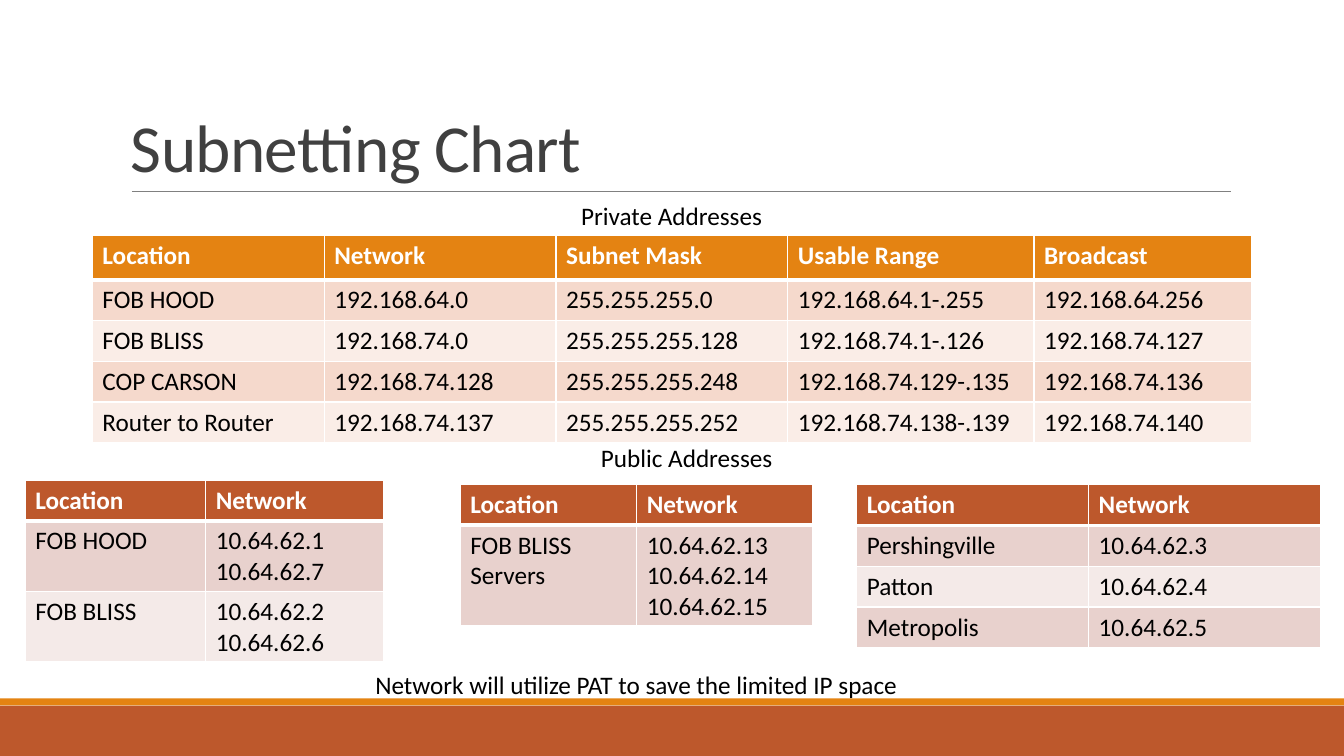
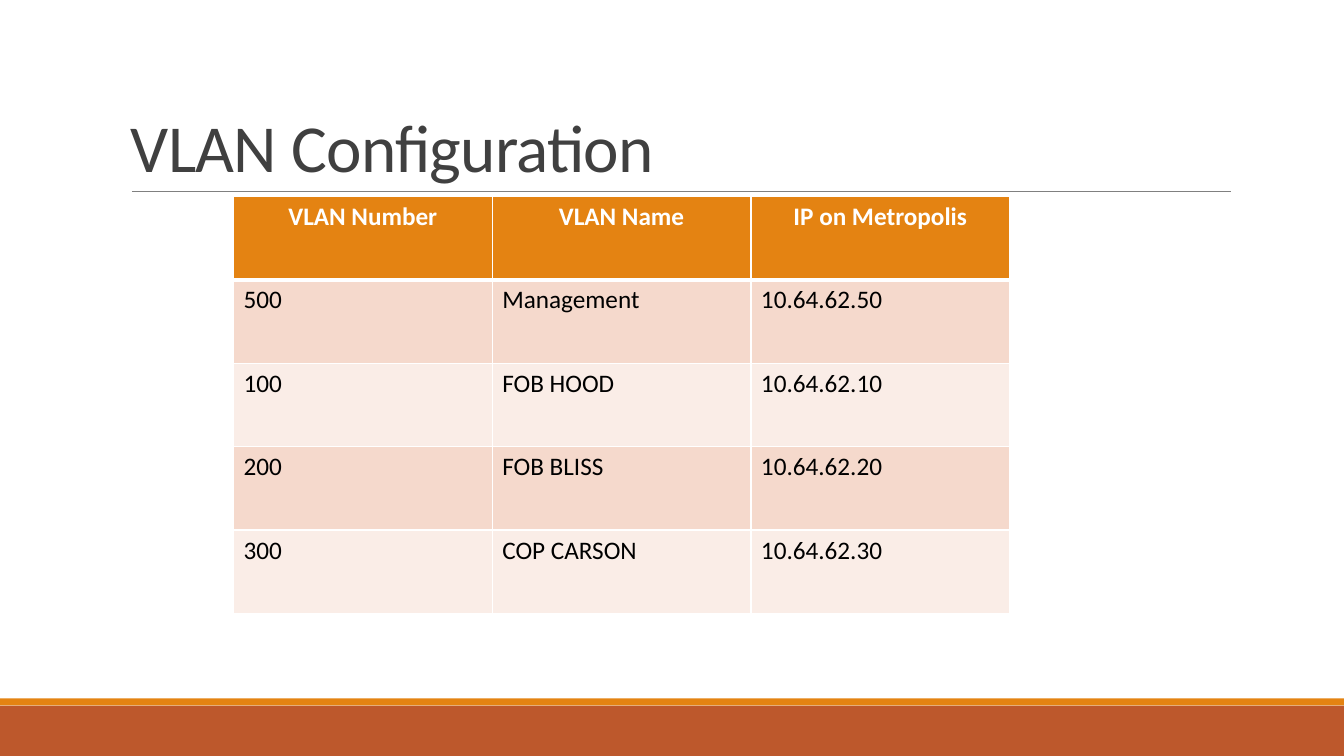
import lxml.etree
import pptx
import pptx.dml.color
import pptx.enum.shapes
import pptx.enum.text
import pptx.oxml.ns
import pptx.util

ORANGE = pptx.dml.color.RGBColor(0xE4, 0x83, 0x12)
RUST = pptx.dml.color.RGBColor(0xBD, 0x58, 0x2C)
PEACH = pptx.dml.color.RGBColor(0xF5, 0xD9, 0xCC)
PALE_PEACH = pptx.dml.color.RGBColor(0xFA, 0xED, 0xE7)
ROSE = pptx.dml.color.RGBColor(0xE8, 0xD1, 0xCD)
PALE_ROSE = pptx.dml.color.RGBColor(0xF4, 0xEA, 0xE8)
GRAY = pptx.dml.color.RGBColor(0x80, 0x80, 0x80)
CHARCOAL = pptx.dml.color.RGBColor(0x40, 0x40, 0x40)
BLACK = pptx.dml.color.RGBColor(0, 0, 0)
WHITE = pptx.dml.color.RGBColor(255, 255, 255)

ORANGE_TABLE = (ORANGE, PEACH, PALE_PEACH)
RUST_TABLE = (RUST, ROSE, PALE_ROSE)

FONT = "Calibri"
COLUMNS, ROWS = 160, 90
LINE_ROWS = 4.86
LEFT = pptx.enum.text.PP_ALIGN.LEFT
CENTER = pptx.enum.text.PP_ALIGN.CENTER


def add_xml(parent, tag, **attributes):
    return lxml.etree.SubElement(parent, pptx.oxml.ns.qn(tag), **attributes)


class SlideBuilder:
    def __init__(self):
        self.deck = pptx.Presentation()
        self.deck.slide_width = pptx.util.Inches(13.33)
        self.deck.slide_height = pptx.util.Inches(7.5)
        self.page = None

    def across(self, columns):
        return round(self.deck.slide_width * columns / COLUMNS)

    def down(self, rows):
        return round(self.deck.slide_height * rows / ROWS)

    def frame(self, left, top, width, height):
        return self.across(left), self.down(top), self.across(width), self.down(height)

    def start_page(self, title):
        self.page = self.deck.slides.add_slide(self.deck.slide_layouts[6])
        self.band(84, 6, RUST)
        self.band(83.13, 0.84, ORANGE)
        self.rule(15.7, 146.5, 22.8)
        self.title(title)

    def band(self, top, height, color):
        band = self.page.shapes.add_shape(
            pptx.enum.shapes.MSO_SHAPE.RECTANGLE, *self.frame(0, top, COLUMNS, height))
        band.shadow.inherit = False
        band.fill.solid()
        band.fill.fore_color.rgb = color
        band.line.fill.background()

    def rule(self, left, right, row):
        line = self.page.shapes.add_connector(
            pptx.enum.shapes.MSO_CONNECTOR.STRAIGHT,
            self.across(left), self.down(row), self.across(right), self.down(row))
        line.line.color.rgb = GRAY
        line.line.width = pptx.util.Pt(0.5)
        add_xml(line.element.spPr, "a:effectLst")

    def style(self, para, size, color, align, bold=False):
        para.alignment = align
        para.font.name = FONT
        para.font.size = pptx.util.Pt(size)
        para.font.color.rgb = color
        para.font.bold = bold

    def text(self, text, left, top, width, height, size=18, color=BLACK, align=CENTER):
        box = self.page.shapes.add_textbox(*self.frame(left, top, width, height))
        box.text_frame.word_wrap = True
        para = box.text_frame.paragraphs[0]
        para.text = text
        self.style(para, size, color, align)
        return box

    def title(self, text):
        box = self.text(text, 14.4, 3.7, 132, 19.1, 48, CHARCOAL, LEFT)
        box.text_frame.vertical_anchor = pptx.enum.text.MSO_ANCHOR.BOTTOM
        para = box.text_frame.paragraphs[0]
        para.line_spacing = 0.85
        para.runs[0].font._element.set("spc", "-50")

    def border(self, cell, top, bottom):
        properties = cell._tc.get_or_add_tcPr()
        for side, points in (("L", 1), ("R", 1), ("T", top), ("B", bottom)):
            line = add_xml(properties, f"a:ln{side}", w=str(pptx.util.Pt(points)))
            add_xml(add_xml(line, "a:solidFill"), "a:srgbClr", val=str(WHITE))

    def table(self, records, left, top, widths, heights, colors, header_align=LEFT):
        table = self.page.shapes.add_table(
            len(records), len(widths),
            *self.frame(left, top, sum(widths), sum(heights))).table
        table.horz_banding = False
        for column, width in zip(table.columns, widths):
            column.width = self.across(width)
        for index, (row, height, record) in enumerate(zip(table.rows, heights, records)):
            row.height = self.down(height)
            header = index == 0
            fill = colors[0] if header else colors[2 - index % 2]
            for cell, text in zip(row.cells, record):
                cell.text = text
                self.border(cell, 3 if index == 1 else 1, 3 if header else 1)
                cell.fill.solid()
                cell.fill.fore_color.rgb = fill
                for para in cell.text_frame.paragraphs:
                    self.style(para, 18, WHITE if header else BLACK,
                               header_align if header else LEFT, header)

    def save(self):
        self.deck.save("out.pptx")


def subnetting_page(builder):
    builder.start_page("Subnetting Chart")
    builder.text("Private Addresses", 9.1, 23.2, 141.7, 4.8)
    builder.table([
        ("Location", "Network", "Subnet Mask", "Usable Range", "Broadcast"),
        ("FOB HOOD", "192.168.64.0", "255.255.255.0", "192.168.64.1-.255", "192.168.64.256"),
        ("FOB BLISS", "192.168.74.0", "255.255.255.128", "192.168.74.1-.126", "192.168.74.127"),
        ("COP CARSON", "192.168.74.128", "255.255.255.248", "192.168.74.129-.135", "192.168.74.136"),
        ("Router to Router", "192.168.74.137", "255.255.255.252", "192.168.74.138-.139", "192.168.74.140"),
    ], 11, 28, [27.6] * 3 + [29.3, 25.9], [5.3] + [LINE_ROWS] * 4, ORANGE_TABLE)

    builder.text("Public Addresses", 10.9, 52.1, 141.7, 4.8)
    public_header = ("Location", "Network")
    builder.table([
        public_header,
        ("FOB HOOD", "10.64.62.1\n10.64.62.7"),
        ("FOB BLISS", "10.64.62.2\n10.64.62.6"),
    ], 3, 57.2, [21.5, 21.2], [4.8, 8.4, 8.4], RUST_TABLE)
    builder.table([
        public_header,
        ("FOB BLISS\nServers", "10.64.62.13\n10.64.62.14\n10.64.62.15"),
    ], 54.8, 57.7, [21] * 2, [4.8, 12], RUST_TABLE)
    builder.table([
        public_header,
        ("Pershingville", "10.64.62.3"),
        ("Patton", "10.64.62.4"),
        ("Metropolis", "10.64.62.5"),
    ], 102, 57.7, [27.6] * 2, [LINE_ROWS] * 4, RUST_TABLE)
    builder.text("Network will utilize PAT to save the limited IP space", 38.5, 79.1, 74.5, 4.8)


def vlan_page(builder):
    builder.start_page("VLAN Configuration")
    builder.table([
        ("VLAN Number", "VLAN Name", "IP on Metropolis"),
        ("500", "Management", "10.64.62.50"),
        ("100", "FOB HOOD", "10.64.62.10"),
        ("200", "FOB BLISS", "10.64.62.20"),
        ("300", "COP CARSON", "10.64.62.30"),
    ], 27.8, 23.4, [30.8] * 3, [9.93] * 5, ORANGE_TABLE, CENTER)


def main():
    builder = SlideBuilder()
    subnetting_page(builder)
    vlan_page(builder)
    builder.save()


if __name__ == "__main__":
    main()
